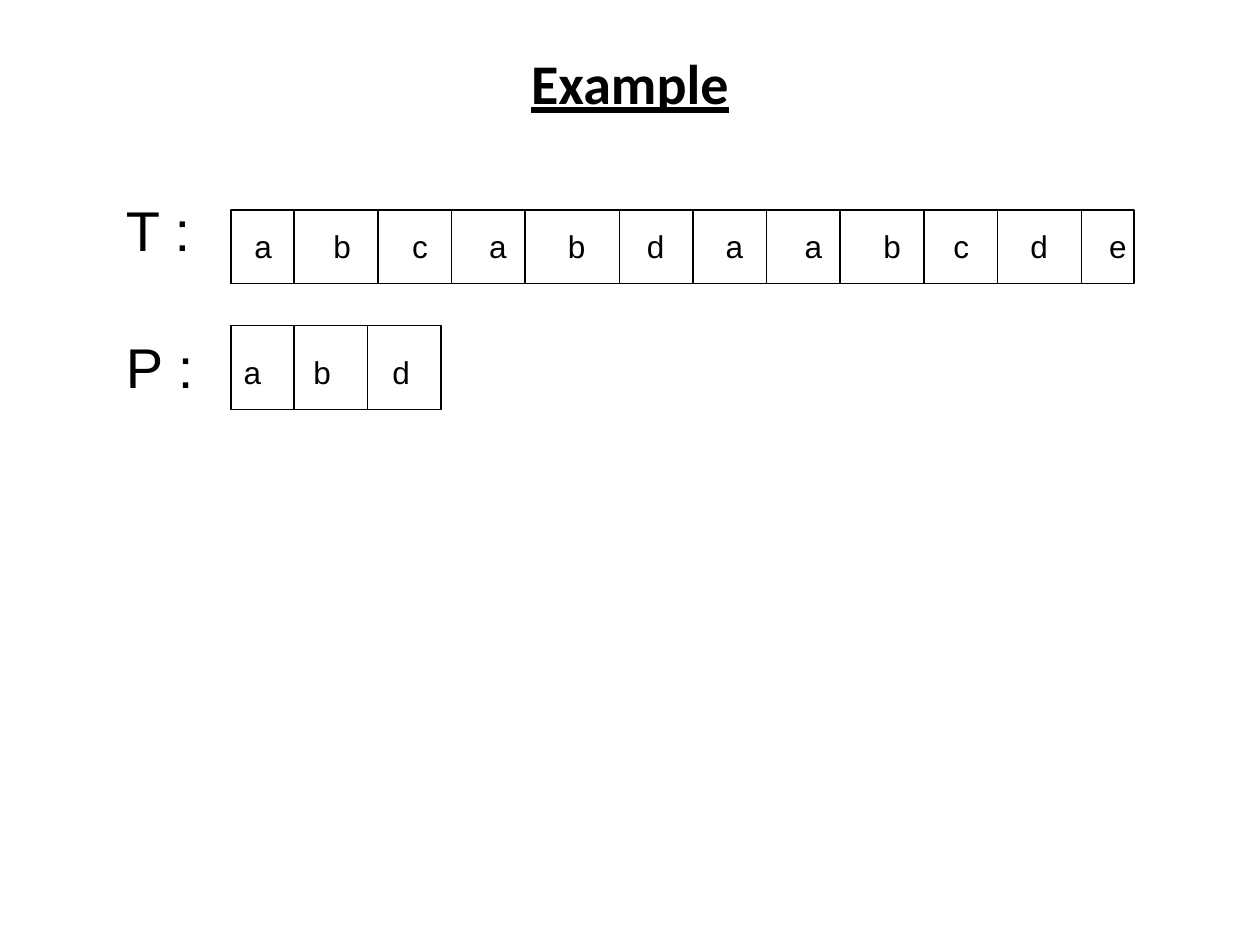
from dataclasses import dataclass
from itertools import accumulate

from lxml import etree
from pptx import Presentation
from pptx.dml.color import RGBColor
from pptx.enum.shapes import MSO_CONNECTOR, MSO_SHAPE
from pptx.enum.text import MSO_ANCHOR, PP_ALIGN
from pptx.oxml.ns import qn
from pptx.util import Cm, Pt

RECTANGLE = MSO_SHAPE.RECTANGLE
STRAIGHT = MSO_CONNECTOR.STRAIGHT
MIDDLE = MSO_ANCHOR.MIDDLE
CENTER = PP_ALIGN.CENTER
TITLE_ONLY = 5
GRID = 2.54 / 12
ARRAY_LEFT = 22


@dataclass(frozen=True)
class Theme:
    """Colours, fonts and sizes of the slide."""
    ink: RGBColor = RGBColor(0, 0, 0)
    title_font: str = "Calibri"
    body_font: str = "Arial"
    large: float = 32
    letter: float = 18
    line: float = 0.75


THEME = Theme()

ARRAYS = [
    {"top": 20, "height": 7, "cells": [6, 8, 7, 7, 9, 7, 7, 7, 8, 7, 8, 5],
     "letters": "abcabdaabcde", "text_at": (4.88, 4.45, 18.26, 1.02),
     "steps": [1.59, 1.59, 1.55, 1.59, 1.59, 1.59, 1.59, 1.59, 1.41, 1.55, 1.59]},
    {"top": 31, "height": 8, "cells": [6, 7, 7],
     "letters": "abd", "text_at": (4.66, 6.99, 11.05, 1.02),
     "steps": [1.41, 1.59]},
]


def set_attributes(target, values):
    """Set each named value on the target."""
    for name, value in values.items():
        setattr(target, name, value)


def format_font(font, name, size, **extra):
    """Give a font its face, size, colour and further values."""
    set_attributes(font, {"name": name, "size": Pt(size), **extra})
    font.color.rgb = THEME.ink


def format_line(line):
    """Give a line the common colour and width."""
    line.color.rgb = THEME.ink
    line.width = Pt(THEME.line)


def add_title(slide, text):
    """Place and format the title placeholder."""
    title = slide.shapes.title
    set_attributes(title, {"left": Cm(1.27), "top": Cm(0.76),
                           "width": Cm(22.86), "height": Cm(1.78)})
    title.text_frame.text = text
    title.text_frame.vertical_anchor = MIDDLE
    paragraph = title.text_frame.paragraphs[0]
    paragraph.alignment = CENTER
    format_font(paragraph.runs[0].font, THEME.title_font, THEME.large,
                bold=True, underline=True)


def add_text(slide, position, lines, size, gap=0):
    """Add a text box with one paragraph per line and return its paragraphs."""
    frame = slide.shapes.add_textbox(*map(Cm, position)).text_frame
    frame.word_wrap = True
    frame.text = "\n".join(lines)
    for index, paragraph in enumerate(frame.paragraphs):
        paragraph.space_before = Pt(gap if index else 0)
        format_font(paragraph.runs[0].font, THEME.body_font, size)
    return frame.paragraphs


def add_tab_stops(paragraph, steps):
    """Set left tab stops at the running sum of the steps."""
    properties = paragraph._p.get_or_add_pPr()
    tabs = etree.SubElement(properties, qn("a:tabLst"))
    for position in accumulate(steps):
        etree.SubElement(tabs, qn("a:tab"), pos=str(int(Cm(position))), algn="l")


def add_divider(slide, column, top, bottom):
    """Add a vertical line between two cells."""
    x, start, end = (Cm(value * GRID) for value in (column, top, bottom))
    connector = slide.shapes.add_connector(STRAIGHT, x, start, x, end)
    format_line(connector.line)
    etree.SubElement(connector._element.spPr, qn("a:effectLst"))


def add_array(slide, top, height, cells, letters, text_at, steps):
    """Draw a frame, its cell dividers and its letters."""
    box = (ARRAY_LEFT, top, sum(cells), height)
    frame = slide.shapes.add_shape(RECTANGLE, *(Cm(value * GRID) for value in box))
    frame.shadow.inherit = False
    frame.fill.background()
    format_line(frame.line)
    for offset in accumulate(cells[:-1]):
        add_divider(slide, ARRAY_LEFT + offset, top, top + height)
    paragraph = add_text(slide, text_at, ["\t".join(letters)], THEME.letter)[0]
    add_tab_stops(paragraph, steps)


def main():
    """Build and save the slide."""
    presentation = Presentation()
    set_attributes(presentation, {"slide_width": Cm(25.4), "slide_height": Cm(19.05)})
    slide = presentation.slides.add_slide(presentation.slide_layouts[TITLE_ONLY])
    add_title(slide, "Example")
    add_text(slide, (2.29, 3.81, 1.96, 4.32), ["T :", "P :"], THEME.large, gap=40)
    for array in ARRAYS:
        add_array(slide, **array)
    presentation.save("out.pptx")


main()
